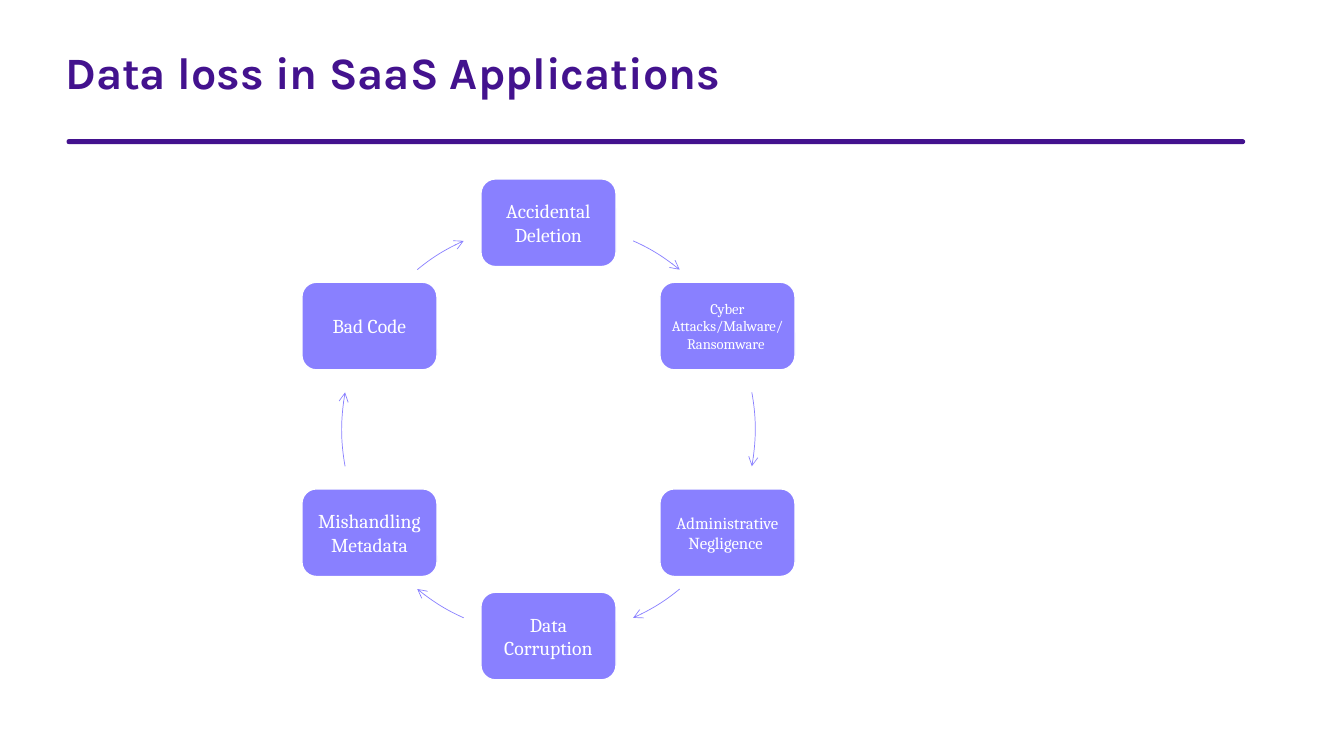
from dataclasses import dataclass
from math import cos, radians, sin, tan

from lxml.etree import SubElement
from pptx import Presentation
from pptx.dml.color import RGBColor
from pptx.enum.shapes import MSO_SHAPE
from pptx.enum.text import MSO_ANCHOR, PP_ALIGN
from pptx.oxml.ns import qn
from pptx.util import Inches, Pt


@dataclass(frozen=True)
class Theme:
    purple: RGBColor = RGBColor(0x43, 0x12, 0x8E)
    lilac: RGBColor = RGBColor(0x89, 0x80, 0xFF)
    white: RGBColor = RGBColor(0xFF, 0xFF, 0xFF)
    title_font: str = "Karla"
    body_font: str = "Cambria"
    title_size: float = 32
    cause_size: float = 14
    medium_size: float = 12
    small_size: float = 10.5


THEME = Theme()

# Cycle geometry: angles run clockwise from the top
CENTER_X, CENTER_Y, RADIUS = 5.44, 4.26, 2.05
BOX_WIDTH, BOX_HEIGHT = 1.34, 0.87
HALF_CYCLE_ARCS = [(24.2, 39.4), (79.7, 100.3), (140.6, 155.8)]

CAUSES = [
    ("Accidental Deletion", THEME.cause_size),
    ("Cyber Attacks/Malware/Ransomware ", THEME.small_size),
    ("Administrative Negligence ", THEME.medium_size),
    ("Data Corruption", THEME.cause_size),
    ("Mishandling Metadata", THEME.cause_size),
    ("Bad Code", THEME.cause_size),
]


def write_text(shape, text, *, font, size, color, bold=False,
               align=PP_ALIGN.LEFT, inset=0.1, line_spacing=None):
    frame = shape.text_frame
    frame.word_wrap = True
    frame.vertical_anchor = MSO_ANCHOR.MIDDLE
    frame.margin_left = frame.margin_right = Inches(inset)
    frame.margin_top = frame.margin_bottom = Inches(inset)
    para = frame.paragraphs[0]
    para.alignment = align
    if line_spacing:
        para.line_spacing = line_spacing
    span = para.add_run()
    span.text = text
    span.font.name = font
    span.font.size = Pt(size)
    span.font.bold = bold
    span.font.color.rgb = color


def add_rounded_box(page, left, top, width, height, fill, line=None):
    box = page.shapes.add_shape(
        MSO_SHAPE.ROUNDED_RECTANGLE,
        Inches(left), Inches(top), Inches(width), Inches(height))
    box.shadow.inherit = False
    box.fill.solid()
    box.fill.fore_color.rgb = fill
    if line is None:
        box.line.fill.background()
    else:
        box.line.color.rgb = line
        box.line.width = Pt(1)
    return box


def point_on_cycle(angle):
    turn = radians(angle)
    return CENTER_X + RADIUS * sin(turn), CENTER_Y - RADIUS * cos(turn)


def add_cause(page, angle, text, size):
    x, y = point_on_cycle(angle)
    box = add_rounded_box(page, x - BOX_WIDTH / 2, y - BOX_HEIGHT / 2,
                          BOX_WIDTH, BOX_HEIGHT, THEME.lilac, THEME.white)
    write_text(box, text, font=THEME.body_font, size=size, color=THEME.white,
               align=PP_ALIGN.CENTER,
               inset=0.06 if size == THEME.cause_size else 0.05)


def curve_points(start, end):
    """Bezier points of an arc: start, two controls, end."""
    reach = 4 / 3 * tan(radians(end - start) / 4) * RADIUS
    corners = []
    for angle, pull in ((start, reach), (end, -reach)):
        x, y = point_on_cycle(angle)
        turn = radians(angle)
        corners.append(((x, y), (x + pull * cos(turn), y + pull * sin(turn))))
    (first, first_control), (last, last_control) = corners
    return first, first_control, last_control, last


def add_arc_arrow(page, start, end):
    left, top = CENTER_X - RADIUS, CENTER_Y - RADIUS
    side = Inches(2 * RADIUS)
    points = curve_points(start, end)

    builder = page.shapes.build_freeform(*map(Inches, points[0]))
    builder.add_line_segments([tuple(map(Inches, points[-1]))], close=False)
    arc = builder.convert_to_shape()

    # The frame spans the whole cycle; the outline is one curve within it
    arc.left, arc.top, arc.width, arc.height = Inches(left), Inches(top), side, side
    outline = next(arc.element.iter(qn("a:path")))
    outline.clear()
    outline.set("w", str(side))
    outline.set("h", str(side))
    for tag, corners in (("a:moveTo", points[:1]), ("a:cubicBezTo", points[1:])):
        command = SubElement(outline, qn(tag))
        for x, y in corners:
            SubElement(command, qn("a:pt"),
                       x=str(Inches(x - left)), y=str(Inches(y - top)))

    arc.shadow.inherit = False
    arc.fill.background()
    arc.line.color.rgb = THEME.lilac
    arc.line.width = Pt(0.5)
    SubElement(arc.line._get_or_add_ln(), qn("a:tailEnd"), type="arrow")


def add_heading(page):
    rule = add_rounded_box(page, 0.66, 1.38, 11.69, 0.05, THEME.purple)
    rule.adjustments[0] = 0.5
    title = page.shapes.add_textbox(
        Inches(0.55), Inches(0.12), Inches(11.8), Inches(1.25))
    write_text(title, "Data loss in SaaS Applications", font=THEME.title_font,
               size=THEME.title_size, color=THEME.purple, bold=True,
               line_spacing=0.9)


def main():
    deck = Presentation()
    deck.slide_width, deck.slide_height = Inches(13.33), Inches(7.5)
    page = deck.slides.add_slide(deck.slide_layouts[6])

    # Title and rule
    add_heading(page)

    # Causes, each followed by an arrow to the next
    arcs = HALF_CYCLE_ARCS + [(start + 180, end + 180)
                              for start, end in HALF_CYCLE_ARCS]
    for index, ((text, size), arc) in enumerate(zip(CAUSES, arcs)):
        add_cause(page, index * 360 / len(CAUSES), text, size)
        add_arc_arrow(page, *arc)

    deck.save("out.pptx")


if __name__ == "__main__":
    main()
